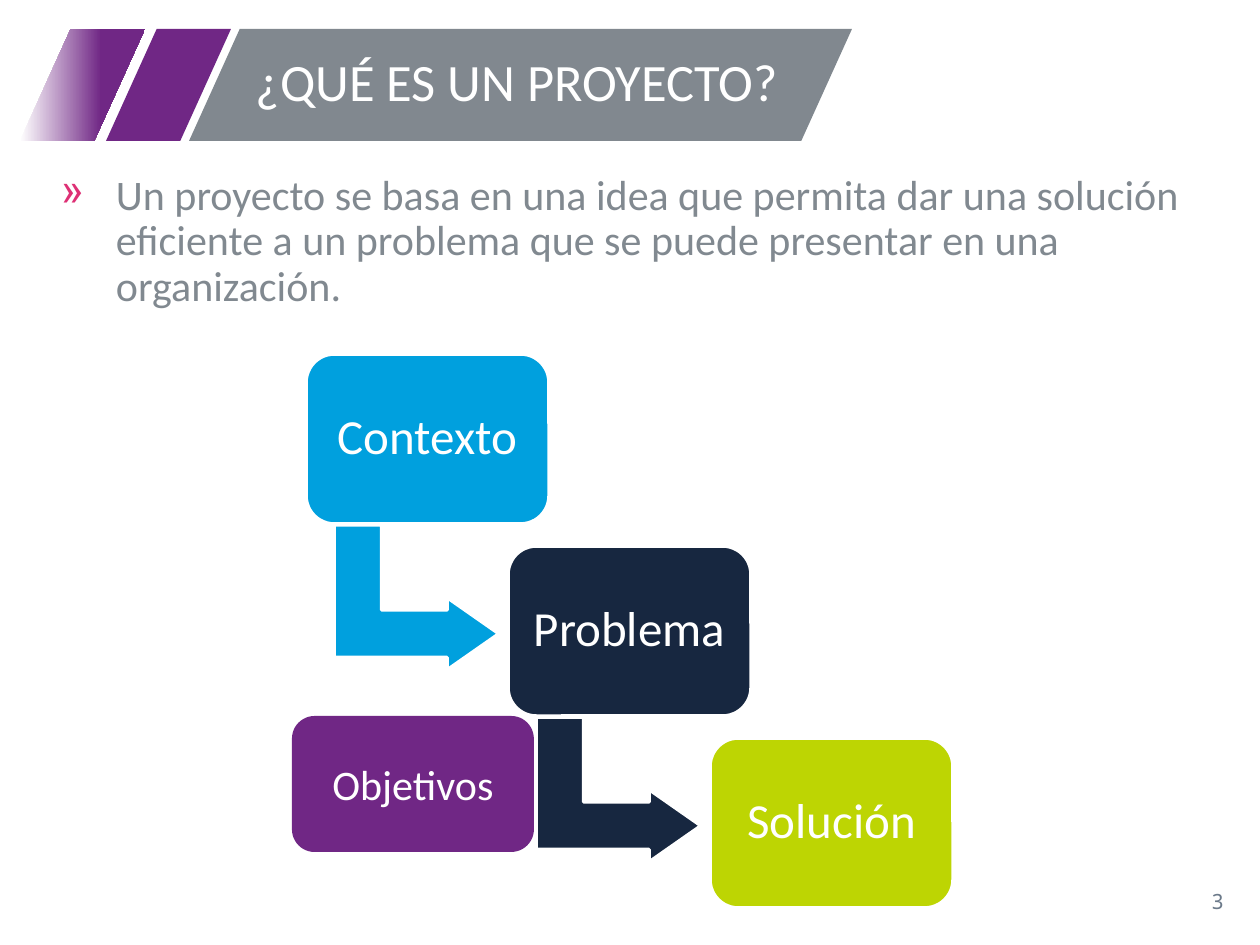
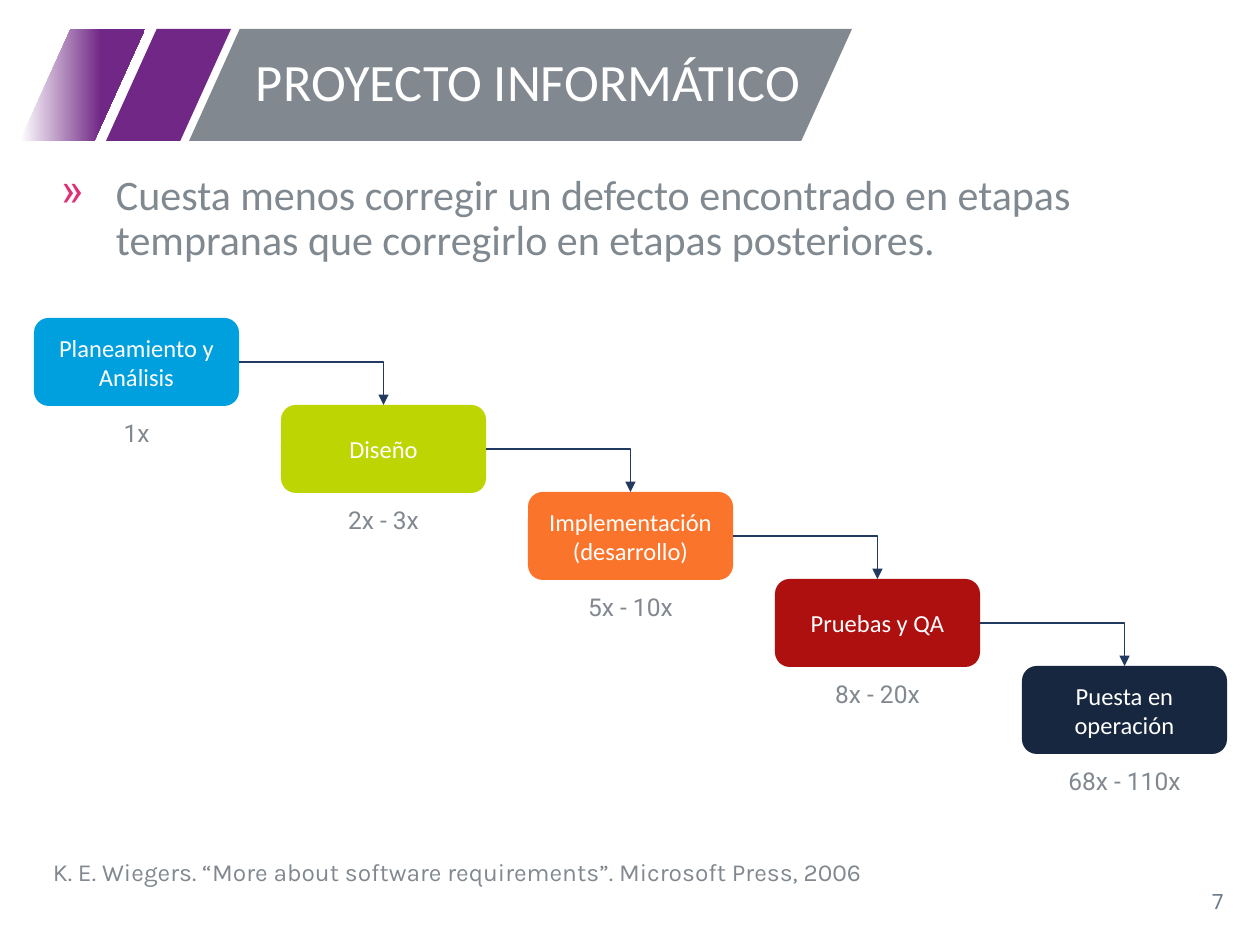
from copy import deepcopy
from itertools import pairwise

from pptx import Presentation
from pptx.dml.color import RGBColor
from pptx.enum.shapes import MSO_CONNECTOR, MSO_SHAPE
from pptx.enum.text import MSO_ANCHOR, PP_ALIGN
from pptx.oxml.ns import qn
from pptx.util import Emu, Pt
from lxml.etree import SubElement

SCALE = 914400 / 126

WHITE = RGBColor(0xFF, 0xFF, 0xFF)
PURPLE = RGBColor(0x70, 0x27, 0x85)
GRAY = RGBColor(0x81, 0x88, 0x8F)
BODY = RGBColor(0x81, 0x89, 0x90)
SLATE = RGBColor(0x6C, 0x7A, 0x8A)
PINK = RGBColor(0xDE, 0x30, 0x75)
BLUE = RGBColor(0x00, 0xA0, 0xDE)
NAVY = RGBColor(0x17, 0x27, 0x40)
LIME = RGBColor(0xBD, 0xD5, 0x03)
ORANGE = RGBColor(0xFA, 0x74, 0x2C)
RED = RGBColor(0xAE, 0x0F, 0x0F)
INK = RGBColor(0x22, 0x3A, 0x5F)

CENTER = {"alignment": PP_ALIGN.CENTER}
RIGHT = {"alignment": PP_ALIGN.RIGHT}
TIGHT = {"line_spacing": 0.9}


def px(n):
    return Emu(round(n * SCALE))


def apply(target, values):
    for name, value in values.items():
        setattr(target, name, value)


def write(shape, text, size, color, face="Calibri", para=None,
          pad=(13, 6), anchor=MSO_ANCHOR.MIDDLE, bullet=None):
    frame = shape.text_frame
    side, top = map(px, pad)
    apply(frame, {
        "word_wrap": True, "vertical_anchor": anchor,
        "margin_left": side, "margin_right": side,
        "margin_top": top, "margin_bottom": top,
    })
    line = frame.paragraphs[0]
    if bullet:
        mark(line, bullet)
    apply(line, para or {})
    run = line.add_run()
    run.text = text
    apply(run.font, {"size": Pt(size), "name": face})
    run.font.color.rgb = color


def mark(line, char):
    """Give the paragraph a pink hanging bullet."""
    props = line._p.get_or_add_pPr()
    props.set("marL", str(px(63)))
    props.set("indent", str(-px(55)))
    tint = SubElement(props, qn("a:buClr"))
    SubElement(tint, qn("a:srgbClr"), val=str(PINK))
    SubElement(props, qn("a:buChar"), char=char)


def label(slide, area, text, size, color, **style):
    box = slide.shapes.add_textbox(*map(px, area))
    write(box, text, size, color, **style)


def block(slide, kind, area, fill, adjust=(), edge=None):
    shape = slide.shapes.add_shape(kind, *map(px, area))
    shape.shadow.inherit = False
    for i, value in enumerate(adjust):
        shape.adjustments[i] = value
    shape.fill.solid()
    shape.fill.fore_color.rgb = fill
    if edge:
        shape.line.color.rgb = edge
        shape.line.width = Pt(2)
    else:
        shape.line.fill.background()
    return shape


def card(slide, area, fill, text, size, pad, edge=None, para=CENTER):
    shape = block(slide, MSO_SHAPE.ROUNDED_RECTANGLE, area, fill, edge=edge)
    write(shape, text, size, WHITE, para=para, pad=pad)
    return shape


def fade(shape):
    """Blend from white to purple, solid over the last third."""
    shape.fill.gradient()
    shape.fill.gradient_angle = 0
    stops = shape.fill.gradient_stops
    for stop, place, color in zip(stops, (0, 0.65), (WHITE, PURPLE)):
        stop.position = place
        stop.color.rgb = color
    last = deepcopy(stops[1]._gs)
    last.set("pos", "100000")
    stops[1]._gs.addnext(last)


def elbow(slide, start, end):
    """Arrow from the right side of start down to the top of end."""
    link = slide.shapes.add_connector(MSO_CONNECTOR.ELBOW, 0, 0, 0, 0)
    link.begin_connect(start, 3)
    link.end_connect(end, 0)
    link.line.color.rgb = INK
    link.line.width = Pt(1)
    props = link._element.spPr
    props.find(qn("a:prstGeom")).set("prst", "bentConnector2")
    SubElement(props.find(qn("a:ln")), qn("a:tailEnd"), type="triangle")
    SubElement(props, qn("a:effectLst"))


def base(deck, title, body, number):
    """Add a slide with the title band, bulleted text and page number."""
    slide = deck.slides.add_slide(deck.slide_layouts[6])
    bands = [
        block(slide, MSO_SHAPE.PARALLELOGRAM, (left, 29, width, 112), fill, [0.453])
        for left, width, fill in ((106, 125, PURPLE), (20, 125, PURPLE), (189, 663, GRAY))
    ]
    fade(bands[1])
    label(slide, (953, 876, 284, 50), number, 12, SLATE,
          face="Noto Sans Mono", para=RIGHT)
    label(slide, (40, 168, 1179, 173), body, 24, BODY,
          para=TIGHT, anchor=MSO_ANCHOR.TOP, bullet="»")
    label(slide, (243, 29, 591, 112), title, 30, WHITE, para=TIGHT)
    return slide


def idea(deck):
    slide = base(
        deck, "¿QUÉ ES UN PROYECTO?",
        "Un proyecto se basa en una idea que permita dar una solución eficiente "
        "a un problema que se puede presentar en una organización.", "3")
    steps = (("Contexto", BLUE), ("Problema", NAVY), ("Solución", LIME))
    for i, (text, fill) in enumerate(steps):
        left, top = 306 + 202 * i, 354 + 192 * i
        if i < len(steps) - 1:
            arrow = block(slide, MSO_SHAPE.BENT_UP_ARROW,
                          (left + 38, top + 161, 145, 165), fill,
                          (0.328, 0.25, 0.358), WHITE)
            arrow.rotation = 90
        card(slide, (left, top, 243, 170), fill, text, 28, (15, 15),
             WHITE, CENTER | TIGHT)
    card(slide, (292, 716, 242, 136), PURPLE, "Objetivos", 24, (13, 6))


def costs(deck):
    slide = base(
        deck, "PROYECTO INFORMÁTICO",
        "Cuesta menos corregir un defecto encontrado en etapas tempranas "
        "que corregirlo en etapas posteriores.", "7")
    stages = (
        ("Planeamiento y Análisis", "1x", BLUE),
        ("Diseño", "2x - 3x", LIME),
        ("Implementación (desarrollo)", "5x - 10x", ORANGE),
        ("Pruebas y QA", "8x - 20x", RED),
        ("Puesta en operación", "68x - 110x", NAVY),
    )
    cards = []
    for i, (text, cost, fill) in enumerate(stages):
        left, top = 34 + 247 * i, 318 + 87 * i
        cards.append(card(slide, (left, top, 205, 88), fill, text, 14, (13, 13)))
        label(slide, (left, top + 87, 205, 62), cost, 14, GRAY, face="Roboto",
              para=CENTER, pad=(13, 13), anchor=MSO_ANCHOR.TOP)
    for start, end in pairwise(cards):
        elbow(slide, start, end)
    label(slide, (40, 851, 872, 60),
          "K. E. Wiegers. “More about software requirements”. Microsoft Press, 2006",
          14, GRAY, face="Karla", anchor=MSO_ANCHOR.TOP)


def main():
    deck = Presentation()
    deck.slide_width, deck.slide_height = px(1260), px(945)
    idea(deck)
    costs(deck)
    deck.save("out.pptx")


if __name__ == "__main__":
    main()
